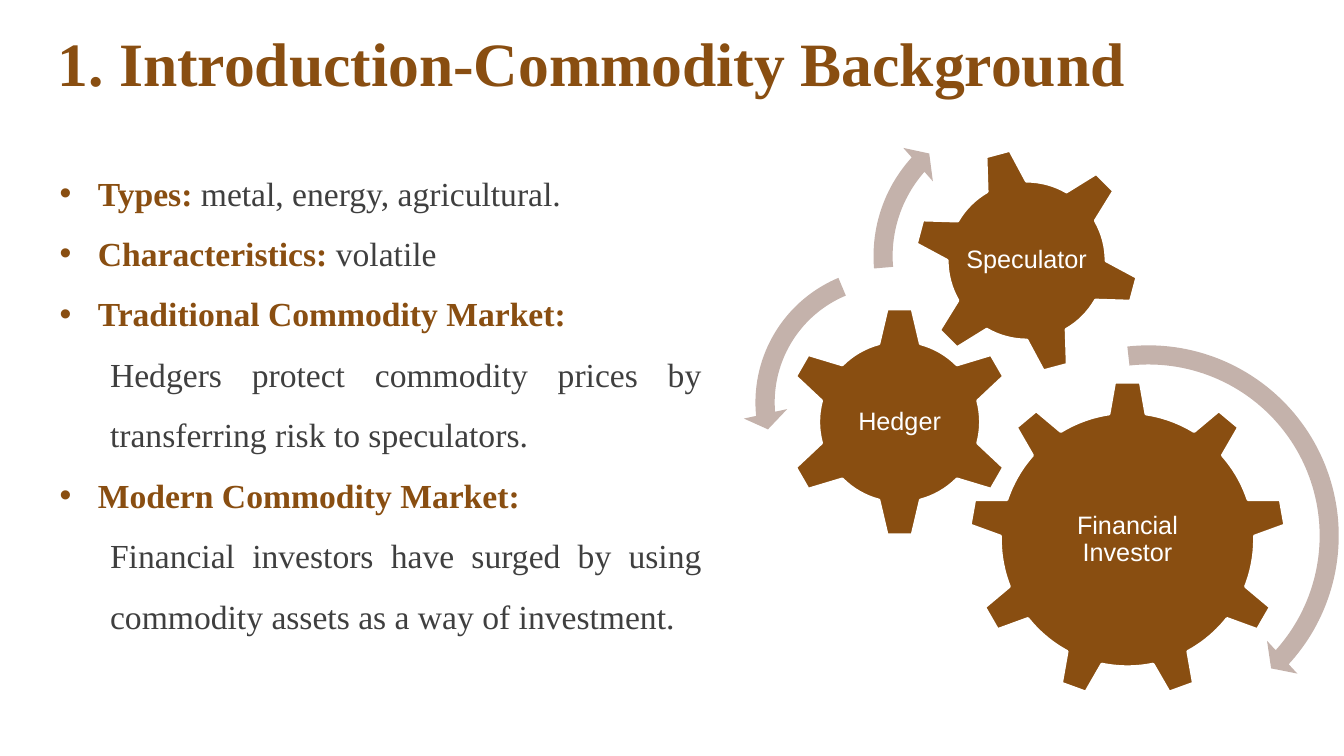
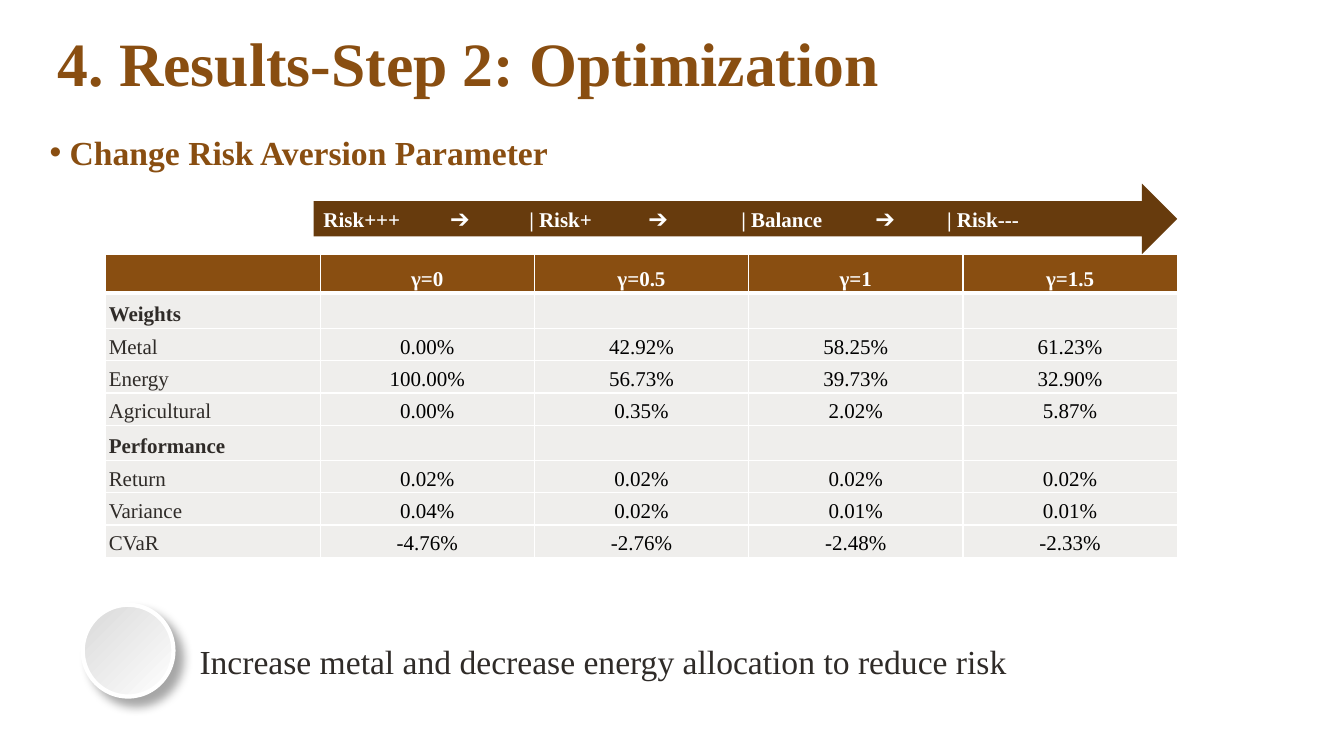
from lxml.etree import SubElement, fromstring
from pptx import Presentation
from pptx.dml.color import RGBColor
from pptx.enum.shapes import MSO_SHAPE
from pptx.enum.text import MSO_ANCHOR, PP_ALIGN
from pptx.oxml.ns import nsdecls, qn
from pptx.util import Inches, Pt

BROWN = RGBColor(0x89, 0x4E, 0x11)
DARK_BROWN = RGBColor(0x67, 0x3B, 0x0D)
TAUPE = RGBColor(0xC4, 0xB2, 0xAB)
INK = RGBColor(0x2F, 0x2B, 0x28)
GREY = RGBColor(0x3F, 0x3F, 0x3F)
SILVER = RGBColor(0xD9, 0xD9, 0xD9)
PALE = RGBColor(0xEF, 0xEE, 0xEC)
BLACK = RGBColor(0, 0, 0)
WHITE = RGBColor(0xFF, 0xFF, 0xFF)

SERIF, SANS = "Times New Roman", "Arial"
WIDTH, HEIGHT = Inches(13.33), Inches(7.5)
COLUMNS, ROWS = 64, 36


def across(columns):
    return round(columns * WIDTH / COLUMNS)


def down(rows):
    return round(rows * HEIGHT / ROWS)


def area(left, top, width, height):
    return across(left), down(top), across(width), down(height)


class SlideWriter:
    """Holds the deck, the current slide and the shared style."""

    def __init__(self):
        self.deck = Presentation()
        self.deck.slide_width, self.deck.slide_height = WIDTH, HEIGHT
        self.slide = None

    def start(self, title):
        self.slide = self.deck.slides.add_slide(self.deck.slide_layouts[6])
        frame = self.text_box(2.74, 1.15, 51.3, 5.09, MSO_ANCHOR.BOTTOM)
        frame.margin_bottom = down(1.49)
        para = frame.paragraphs[0]
        para.line_spacing = 0.9
        self.span(para, title, BROWN, 44, bold=True)

    def text_box(self, left, top, width, height, anchor=MSO_ANCHOR.TOP, inset=0):
        box = self.slide.shapes.add_textbox(*area(left, top, width, height))
        frame = box.text_frame
        frame.word_wrap = True
        self.place_text(frame, anchor, across(inset), down(inset))
        return frame

    def place_text(self, holder, anchor, side, end):
        """Set anchor and insets of a text frame or a table cell."""
        holder.vertical_anchor = anchor
        holder.margin_left = holder.margin_right = side
        holder.margin_top = holder.margin_bottom = end

    def span(self, para, text, color, size=24, bold=False, font=SERIF):
        run = para.add_run()
        run.text = text
        run.font.name, run.font.size, run.font.bold = font, Pt(size), bold
        run.font.color.rgb = color

    def indent(self, para, left, hanging=0):
        """Indent a paragraph; a hanging one gets a brown bullet."""
        properties = para._p.get_or_add_pPr()
        properties.set("marL", str(across(left)))
        properties.set("indent", str(-across(hanging)))
        if hanging:
            color = SubElement(properties, qn("a:buClr"))
            SubElement(color, qn("a:srgbClr"), val=str(BROWN))
            SubElement(properties, qn("a:buFont"), typeface=SANS)
            SubElement(properties, qn("a:buChar"), char="•")

    def bullets(self, frame, items, left, hanging, note_left=0):
        """Write (heading, rest, note) items; a note is a paragraph of its own."""
        rows = []
        for heading, rest, note in items:
            rows.append((left, hanging, [(heading, BROWN, True), (rest, GREY, False)]))
            rows.append((note_left, 0, [(note, GREY, False)]))
        rows = [row for row in rows if row[2][0][0]]
        for index, (start, hang, spans) in enumerate(rows):
            para = frame.add_paragraph() if index else frame.paragraphs[0]
            self.indent(para, start, hang)
            para.alignment, para.line_spacing = PP_ALIGN.JUSTIFY, 1.5
            for text, color, bold in spans:
                if text:
                    self.span(para, text, color, bold=bold)

    def shape(self, kind, left, top, width, height, fill=None, line=None, weight=2):
        shape = self.slide.shapes.add_shape(kind, *area(left, top, width, height))
        shape.shadow.inherit = False
        if fill is not None:
            shape.fill.solid()
            shape.fill.fore_color.rgb = fill
        if line is None:
            shape.line.fill.background()
        else:
            shape.line.color.rgb, shape.line.width = line, Pt(weight)
        return shape

    def gear(self, kind, label, left, top, side, turn=0):
        """Draw a gear with an upright label centred on it."""
        self.shape(kind, left, top, side, side, BROWN, WHITE).rotation = turn
        label_side = 0.6 * side
        gap = (side - label_side) / 2
        frame = self.text_box(left + gap, top + gap, label_side, label_side,
                              MSO_ANCHOR.MIDDLE, 0.14)
        para = frame.paragraphs[0]
        para.alignment, para.line_spacing = PP_ALIGN.CENTER, 0.9
        self.span(para, label, WHITE, 18, font=SANS)

    def arc_arrow(self, kind, left, top, side, thickness, angles, head):
        """Draw a bent arrow; thickness and head in percent, angles in degrees."""
        arrow = self.shape(kind, left, top, side, side, TAUPE)
        degrees = [angle * 0.6 for angle in angles]
        for index, value in enumerate([thickness / 100, *degrees, head / 100]):
            arrow.adjustments[index] = value

    def scale_arrow(self, left, top, width, height, first, stops):
        """Draw a block arrow whose words stand on tab stops."""
        arrow = self.shape(MSO_SHAPE.RIGHT_ARROW, left, top, width, height, DARK_BROWN)
        arrow.text_frame.vertical_anchor = MSO_ANCHOR.MIDDLE
        para = arrow.text_frame.paragraphs[0]
        tabs = SubElement(para._p.get_or_add_pPr(), qn("a:tabLst"))
        for position, _ in stops:
            SubElement(tabs, qn("a:tab"), pos=str(across(position)), algn="l")
        para.alignment = PP_ALIGN.LEFT
        self.span(para, first, WHITE, 15, bold=True)
        for _, text in stops:
            self.span(para, "\t" + text, WHITE, 15, bold=True)

    def ball(self, left, top, width, height):
        ball = self.shape(MSO_SHAPE.OVAL, left, top, width, height, line=WHITE, weight=3)
        ball.fill.gradient()
        ball.fill.gradient_angle = 315
        for stop, color in zip(ball.fill.gradient_stops, (SILVER, WHITE)):
            stop.color.rgb = color
        effects = ball._element.spPr.find(qn("a:effectLst"))
        effects.append(fromstring(
            f'<a:outerShdw {nsdecls("a")} blurRad="{Pt(7)}" dist="{Pt(8)}" dir="2700000"'
            ' algn="tl" rotWithShape="0"><a:srgbClr val="000000"><a:alpha val="35000"/>'
            '</a:srgbClr></a:outerShdw>'))

    def borders(self, cell, bottom):
        properties = cell._tc.get_or_add_tcPr()
        for index, side in enumerate("LRTB"):
            weight = bottom if side == "B" else 1
            properties.insert(index, fromstring(
                f'<a:ln{side} {nsdecls("a")} w="{Pt(weight)}"><a:solidFill>'
                f'<a:srgbClr val="{WHITE}"/></a:solidFill></a:ln{side}>'))

    def table(self, left, top, width, rows, heights):
        """Draw a table; a row with a name only is a section heading."""
        count = len(rows[0])
        table = self.slide.shapes.add_table(
            len(rows), count, *area(left, top, width, sum(heights))).table
        for column in table.columns:
            column.width = across(width / count)
        for r, (values, height) in enumerate(zip(rows, heights)):
            table.rows[r].height = down(height)
            header, section = r == 0, len(values) == 1
            for c in range(count):
                cell = table.cell(r, c)
                self.place_text(cell, MSO_ANCHOR.BOTTOM, across(0.14), down(0.1))
                cell.fill.solid()
                cell.fill.fore_color.rgb = BROWN if header else PALE
                self.borders(cell, 3 if header else 1)
                if c < len(values) and values[c]:
                    para = cell.text_frame.paragraphs[0]
                    para.alignment = PP_ALIGN.CENTER if c else PP_ALIGN.LEFT
                    color = WHITE if header else BLACK if c else INK
                    self.span(para, values[c], color, 15, header or section)


def background_slide(writer):
    writer.start("1. Introduction-Commodity Background")
    writer.bullets(writer.text_box(2.74, 7.25, 30.67, 25.34), [
        ("Types: ", "metal, energy, agricultural.", ""),
        ("Characteristics: ", "volatile", ""),
        ("Traditional Commodity Market:", "",
         "Hedgers protect commodity prices by transferring risk to speculators."),
        ("Modern Commodity Market:", "",
         "Financial investors have surged by using commodity assets as a way of investment."),
    ], 1.92, 1.82, 2.5)
    writer.gear(MSO_SHAPE.GEAR_9, "Financial Investor", 46.13, 18.14, 15.12)
    writer.gear(MSO_SHAPE.GEAR_6, "Hedger", 37.34, 14.59, 11)
    writer.gear(MSO_SHAPE.GEAR_6, "Speculator", 43.49, 7.01, 10.8, 345)
    right, left = MSO_SHAPE.CIRCULAR_ARROW, MSO_SHAPE.LEFT_CIRCULAR_ARROW
    writer.arc_arrow(right, 45.02, 15.84, 19.34, 4.7, (4.98, 42.28, 263.64), 5.5)
    writer.arc_arrow(left, 35.38, 12.14, 14.06, 6.5, (7.17, 174.82, 247.3), 7.5)
    writer.arc_arrow(right, 40.99, 4.61, 15.17, 6, (6.57, 221.9, 175.14), 7)


def optimization_slide(writer):
    writer.start("4. Results-Step 2: Optimization")
    caption = writer.text_box(9.5, 30.53, 47, 1.92)
    writer.span(caption.paragraphs[0],
                "Increase metal and decrease energy allocation to reduce risk", INK)
    writer.ball(3.94, 28.8, 4.32, 4.37)
    writer.bullets(writer.text_box(2.26, 5.33, 34.5, 3.07),
                   [("Change Risk Aversion Parameter", "", "")], 1.06, 0.96)
    writer.table(5.04, 12.1, 51.02, [
        ("", "γ=0", "γ=0.5", "γ=1", "γ=1.5"),
        ("Weights",),
        ("Metal", "0.00%", "42.92%", "58.25%", "61.23%"),
        ("Energy", "100.00%", "56.73%", "39.73%", "32.90%"),
        ("Agricultural", "0.00%", "0.35%", "2.02%", "5.87%"),
        ("Performance",),
        ("Return", "0.02%", "0.02%", "0.02%", "0.02%"),
        ("Variance", "0.04%", "0.02%", "0.01%", "0.01%"),
        ("CVaR", "-4.76%", "-2.76%", "-2.48%", "-2.33%"),
    ], [1.87] + 2 * [1.67, 1.54, 1.54, 1.54])
    writer.scale_arrow(14.93, 8.74, 41.13, 3.36, "Risk+++", [
        (6.05, "➔"), (9.8, "| Risk+"), (15.5, "➔"),
        (19.9, "| Balance"), (26.3, "➔"), (29.7, "| Risk---")])


def main():
    writer = SlideWriter()
    background_slide(writer)
    optimization_slide(writer)
    writer.deck.save("out.pptx")


if __name__ == "__main__":
    main()
